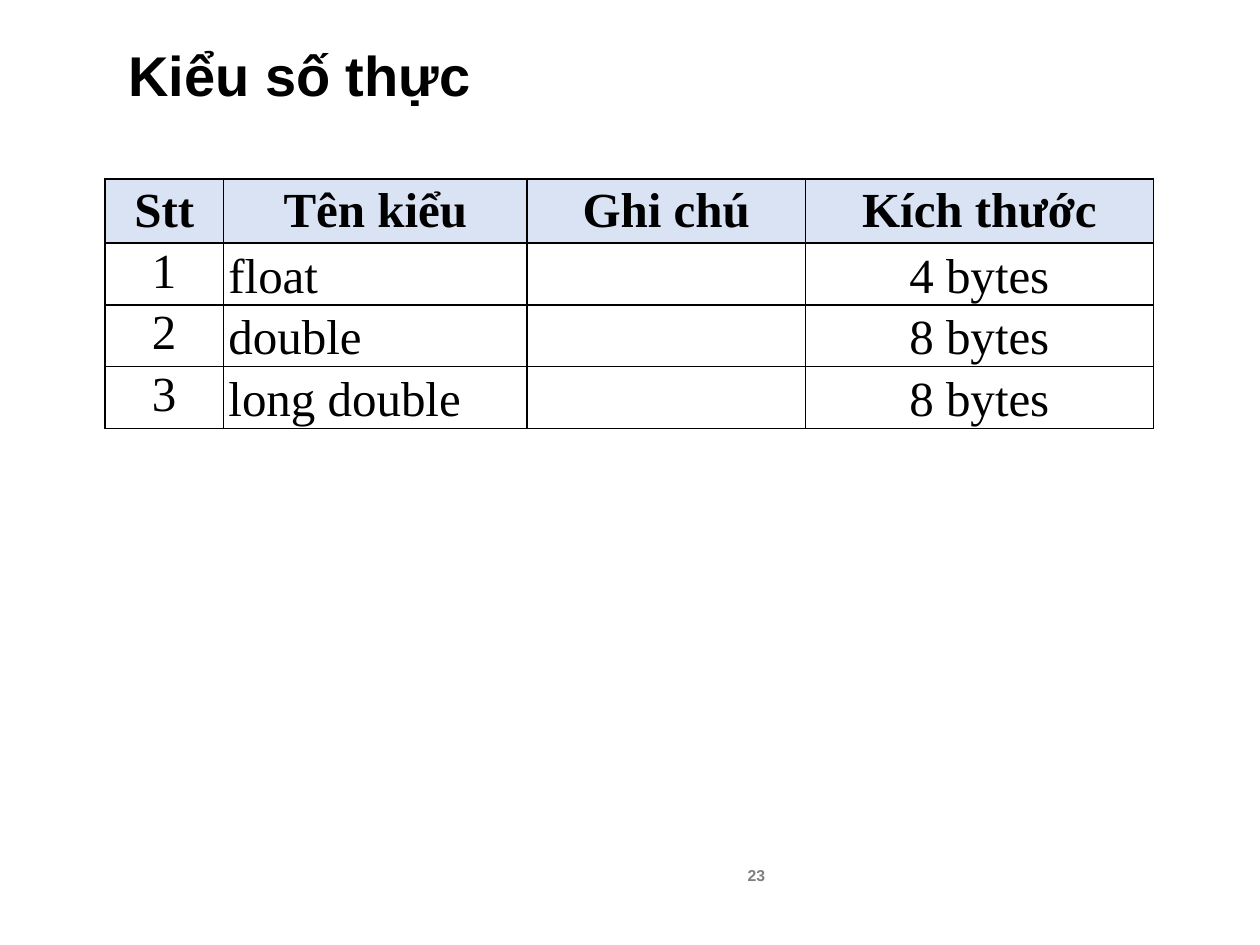
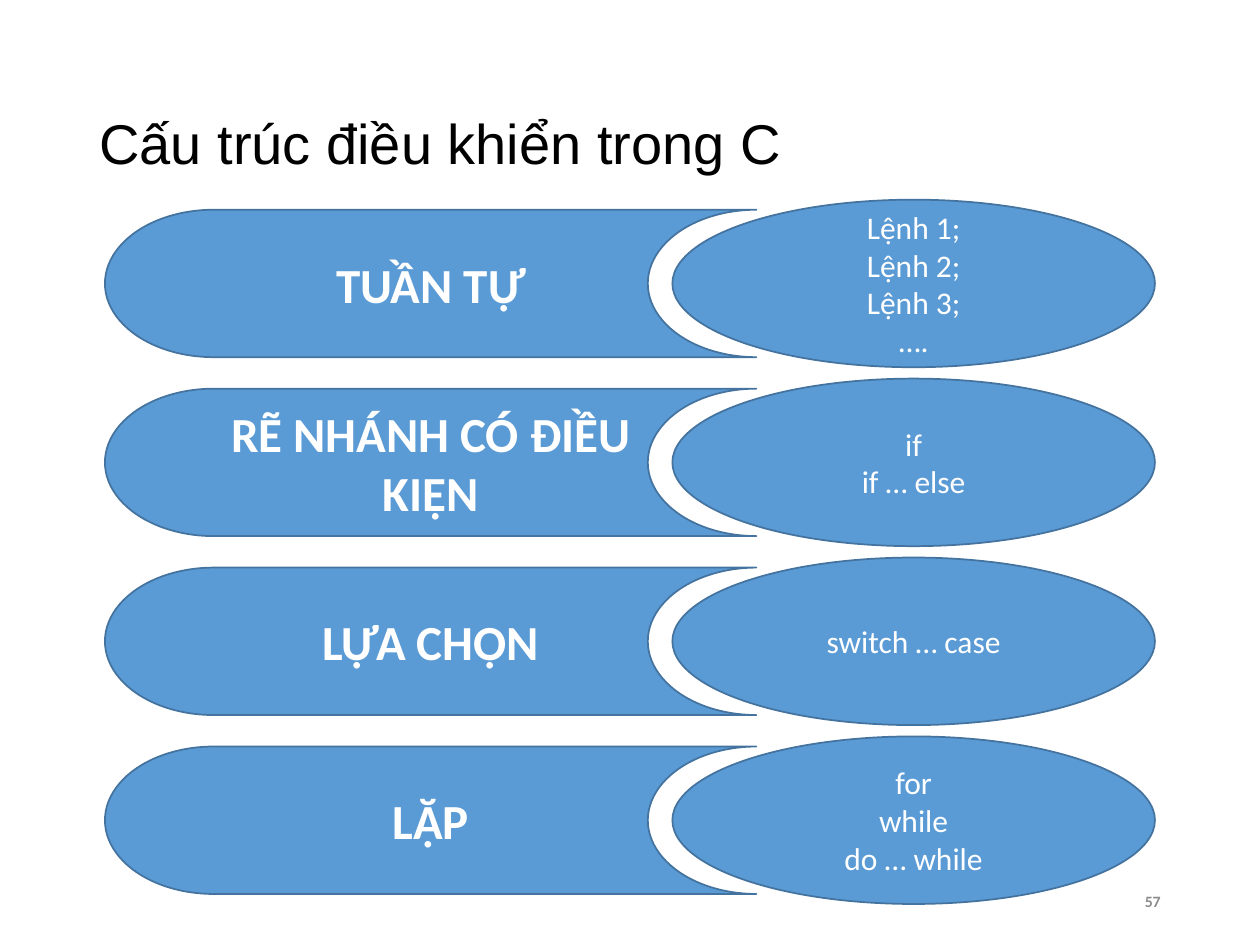
from lxml import etree
from pptx import Presentation
from pptx.dml.color import RGBColor
from pptx.enum.shapes import MSO_SHAPE
from pptx.enum.text import MSO_ANCHOR, PP_ALIGN
from pptx.oxml.ns import qn
from pptx.util import Inches, Pt

BLACK = RGBColor(0x00, 0x00, 0x00)
WHITE = RGBColor(0xFF, 0xFF, 0xFF)
HEADER_BLUE = RGBColor(0xDA, 0xE3, 0xF3)
SHAPE_BLUE = RGBColor(0x5B, 0x9B, 0xD5)
OUTLINE_BLUE = RGBColor(0x43, 0x73, 0x9E)
NUMBER_GRAY = RGBColor(0x7F, 0x7F, 0x7F)
LIGHT_GRAY = RGBColor(0x8C, 0x8C, 0x8C)

LEFT, CENTER, RIGHT = PP_ALIGN.LEFT, PP_ALIGN.CENTER, PP_ALIGN.RIGHT
TOP, MIDDLE, BOTTOM = MSO_ANCHOR.TOP, MSO_ANCHOR.MIDDLE, MSO_ANCHOR.BOTTOM
STORAGE, OVAL = MSO_SHAPE.FLOWCHART_STORED_DATA, MSO_SHAPE.OVAL

TITLE = {"name": "Arial", "size": Pt(32), "color": BLACK}
NUMBER = {"size": Pt(9), "bold": True}
TABLE = {"name": "Times New Roman", "size": Pt(28), "color": BLACK}
STRUCTURE = {"name": "Calibri", "size": Pt(28), "color": WHITE, "bold": True}
EXAMPLE = {"name": "Calibri", "size": Pt(18), "color": WHITE}

presentation = Presentation()
presentation.slide_width, presentation.slide_height = Inches(10), Inches(7.5)
MARGIN = presentation.slide_width // 12
CONTENT_WIDTH = 10 * MARGIN


def write(text_frame, lines, style, alignment=LEFT, anchor=MIDDLE):
    text_frame.word_wrap = True
    text_frame.vertical_anchor = anchor
    for index, line in enumerate(lines):
        paragraph = text_frame.paragraphs[0] if index == 0 else text_frame.add_paragraph()
        paragraph.alignment = alignment
        run = paragraph.add_run()
        run.text = line
        for attribute, value in style.items():
            if attribute == "color":
                run.font.color.rgb = value
            else:
                setattr(run.font, attribute, value)


def draw_borders(cell):
    properties = cell._tc.get_or_add_tcPr()
    for position, side in enumerate(("a:lnL", "a:lnR", "a:lnT", "a:lnB")):
        line = etree.Element(qn(side), w=str(Pt(1)))
        fill = etree.SubElement(line, qn("a:solidFill"))
        etree.SubElement(fill, qn("a:srgbClr"), val=str(BLACK))
        properties.insert(position, line)


# Titles and slide numbers: text, box in inches, style
pages = [
    ("Kiểu số thực", (0.92, 0, 8.83, 1.17), {**TITLE, "bold": True},
     "23", (4.17, 6.75, 2, 0.4), {**NUMBER, "name": "Arial", "color": NUMBER_GRAY}),
    ("Cấu trúc điều khiển trong C", (0.69, 0.4, 8.62, 1.45), TITLE,
     "57", (6.62, 6.95, 2.69, 0.4), {**NUMBER, "name": "Calibri", "color": LIGHT_GRAY}),
]
slides = []
for title, title_box, title_style, number, number_box, number_style in pages:
    slide = presentation.slides.add_slide(presentation.slide_layouts[6])
    slides.append(slide)
    for text, box, style, alignment in (
        (title, title_box, title_style, LEFT),
        (number, number_box, number_style, RIGHT),
    ):
        text_box = slide.shapes.add_textbox(*map(Inches, box))
        write(text_box.text_frame, [text], style, alignment)
type_slide, control_slide = slides

# Table of real number types
type_rows = [
    ("Stt", "Tên kiểu", "Ghi chú", "Kích thước"),
    ("1", "float", "", "4 bytes"),
    ("2", "double", "", "8 bytes"),
    ("3", "long double", "", "8 bytes"),
]
row_heights = [0.51, 0.49, 0.49, 0.49]
column_widths = [0.94, 2.41, 2.21, 2.76]
body_formats = [(CENTER, TOP), (LEFT, BOTTOM), (LEFT, TOP), (CENTER, BOTTOM)]
margins = {"margin_left": 0.04, "margin_right": 0.04, "margin_top": 0.01, "margin_bottom": 0.01}

table = type_slide.shapes.add_table(
    len(type_rows), len(column_widths), MARGIN, Inches(1.42),
    CONTENT_WIDTH, Inches(sum(row_heights))).table
table.horz_banding = False
for column, width in zip(table.columns, column_widths):
    column.width = Inches(width)
for row_index, texts in enumerate(type_rows):
    is_header = row_index == 0
    table.rows[row_index].height = Inches(row_heights[row_index])
    for column_index, text in enumerate(texts):
        cell = table.cell(row_index, column_index)
        for attribute, inset in margins.items():
            setattr(cell, attribute, Inches(inset))
        if is_header:
            cell.fill.solid()
            cell.fill.fore_color.rgb = HEADER_BLUE
        else:
            cell.fill.background()
        draw_borders(cell)
        alignment, anchor = (CENTER, MIDDLE) if is_header else body_formats[column_index]
        cell.vertical_anchor = anchor
        if text:
            write(cell.text_frame, [text], {**TABLE, "bold": is_header}, alignment, anchor)

# Control structures, each beside its statements
structures = [
    ("TUẦN TỰ", ["Lệnh 1;", "Lệnh 2;", "Lệnh 3;", "…."]),
    ("RẼ NHÁNH CÓ ĐIỀU KIỆN", ["if", "if … else"]),
    ("LỰA CHỌN", ["switch … case"]),
    ("LẶP", ["for", "while", "do … while"]),
]
ROW_PITCH = Inches(1.42)
FIRST_CENTER = Inches(2.25)
structure_width, structure_height = Inches(5.17), Inches(1.17)
example_width, example_height = Inches(3.83), Inches(1.33)
example_left = MARGIN + CONTENT_WIDTH - example_width

columns = [
    (STORAGE, MARGIN, structure_width, structure_height, STRUCTURE,
     [[name] for name, _ in structures]),
    (OVAL, example_left, example_width, example_height, EXAMPLE,
     [statements for _, statements in structures]),
]
for preset, left, width, height, style, texts in columns:
    for row_index, lines in enumerate(texts):
        top = FIRST_CENTER + row_index * ROW_PITCH - height // 2
        shape = control_slide.shapes.add_shape(preset, left, top, width, height)
        shape.shadow.inherit = False
        shape.fill.solid()
        shape.fill.fore_color.rgb = SHAPE_BLUE
        shape.line.color.rgb = OUTLINE_BLUE
        shape.line.width = Pt(1)
        write(shape.text_frame, lines, style, CENTER)

presentation.save("out.pptx")
